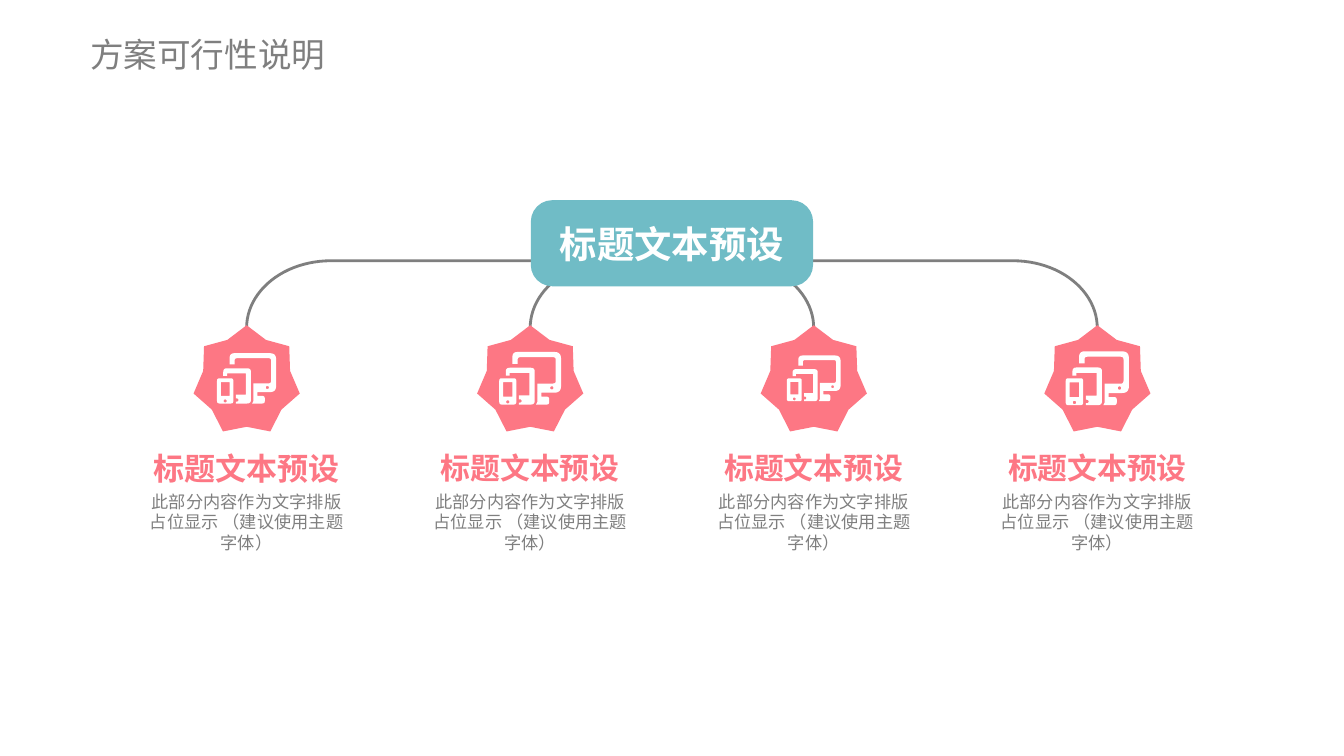
from dataclasses import dataclass

from lxml import etree
from pptx import Presentation
from pptx.dml.color import RGBColor
from pptx.enum import shapes, text
from pptx.oxml import ns
from pptx.util import Inches, Pt


@dataclass(frozen=True)
class Theme:
    font: str = "Noto Sans CJK SC"
    grey: str = "7F7F7F"
    pink: str = "FD7784"
    teal: str = "70BCC6"
    white: str = "FFFFFF"
    title_size: float = 18
    root_size: float = 20
    body_size: float = 9.2
    line_width: float = 1.5


@dataclass(frozen=True)
class Branch:
    icon_width: float
    heading_size: float = 16


THEME = Theme()
HEADING = "标题文本预设"
BODY = "此部分内容作为文字排版占位显示 （建议使用主题字体）"
BRANCHES = [Branch(0.44, 16.6), Branch(0.46), Branch(0.40), Branch(0.47)]
SLIDE_WIDTH = 10
SLIDE_HEIGHT = SLIDE_WIDTH * 9 / 16
MIDDLE = SLIDE_WIDTH / 2
STEP = 2.11
STAR_SIZE = 0.79
STAR_TOP = 2.42
TEXT_WIDTH = 1.51

# Icon outlines on a 47 x 40 grid; each corner is (x, y, radius).
ICON_GRID = (47, 40)
FINENESS = 100


def box_outline(left, top, right, bottom, radius=0):
    return [(left, top, radius), (right, top, radius),
            (right, bottom, radius), (left, bottom, radius)]


PHONE = box_outline(0, 20, 13, 40, 2)
PHONE_SCREEN = box_outline(3, 23, 10, 34)
PHONE_BUTTON = box_outline(5.3, 36.8, 7.7, 39.2, 1.2)
TABLET = [(5, 12, 3), (27, 12, 3), (27, 40, 3), (15, 40, 0), (15, 38.5, 0),
          (17, 38.5, 1.2), (17, 36, 1.2), (15, 36, 0), (15, 33, 0), (23, 33, 0),
          (23, 16, 0), (8, 16, 0), (8, 18, 0), (5, 18, 0)]
MONITOR = [(10, 0, 4), (47, 0, 5), (47, 31, 5), (32, 31, 0), (32, 34, 0),
           (38, 34, 2), (38, 40, 2), (28, 40, 0), (29, 38, 0), (29, 24, 0),
           (43, 24, 2), (43, 4, 2), (14, 4, 2), (14, 9, 0), (10, 9, 0)]
MONITOR_BUTTON = box_outline(38.8, 26.1, 41.2, 28.5, 1.2)
DEVICES = [PHONE, PHONE_SCREEN, PHONE_BUTTON, TABLET, MONITOR, MONITOR_BUTTON]


def toward(start, end, distance):
    """Return the point at a distance from start on the way to end."""
    dx, dy = end[0] - start[0], end[1] - start[1]
    share = distance / (dx * dx + dy * dy) ** 0.5
    return start[0] + dx * share, start[1] + dy * share


def rounded(outline, steps: int = 6) -> list:
    """Replace rounded corners by short segments along a curve."""
    points = []
    for index, corner in enumerate(outline):
        x, y, radius = corner
        if not radius:
            points.append((x * FINENESS, y * FINENESS))
            continue
        entry = toward(corner, outline[index - 1], radius)
        leave = toward(corner, outline[(index + 1) % len(outline)], radius)
        for step in range(steps + 1):
            t = step / steps
            points.append(tuple(
                FINENESS * ((1 - t) ** 2 * a + 2 * t * (1 - t) * b + t * t * c)
                for a, b, c in zip(entry, (x, y), leave)))
    return points


def paint(shape, color: str) -> None:
    shape.shadow.inherit = False
    shape.fill.solid()
    shape.fill.fore_color.rgb = RGBColor.from_string(color)
    shape.line.fill.background()


def write(shape, content: str, *, size: float, color: str, bold: bool = False,
          centred: bool = True, wrap: bool = True, margins=(0, 0)) -> None:
    """Fill a shape with one paragraph; margins are (sides, top and bottom)."""
    frame = shape.text_frame
    frame.word_wrap = wrap
    frame.vertical_anchor = text.MSO_ANCHOR.MIDDLE
    frame.margin_left = frame.margin_right = Inches(margins[0])
    frame.margin_top = frame.margin_bottom = Inches(margins[1])
    paragraph = frame.paragraphs[0]
    paragraph.alignment = text.PP_ALIGN.CENTER if centred else text.PP_ALIGN.LEFT
    run = paragraph.add_run()
    run.text = content
    run.font.size = Pt(size)
    run.font.bold = bold
    run.font.color.rgb = RGBColor.from_string(color)
    run.font.name = THEME.font
    east_asian = etree.SubElement(run.font._element, ns.qn("a:ea"))
    east_asian.set("typeface", THEME.font)


def add_text(container, left, top, width, height, content: str, **style) -> None:
    box = container.add_textbox(Inches(left), Inches(top), Inches(width), Inches(height))
    write(box, content, **style)


def add_bracket(container, span: float) -> None:
    """Draw a bracket that opens downwards and covers the given span."""
    depth, center_y = 0.5, 2.19
    bracket = container.add_shape(
        shapes.MSO_SHAPE.RIGHT_BRACKET, Inches(MIDDLE - depth / 2),
        Inches(center_y - span / 2), Inches(depth), Inches(span))
    bracket.rotation = 270
    bracket.adjustments[0] = 1.252
    bracket.shadow.inherit = False
    bracket.fill.background()
    bracket.line.color.rgb = RGBColor.from_string(THEME.grey)
    bracket.line.width = Pt(THEME.line_width)


def add_devices_icon(container, center_x: float, center_y: float, width: float) -> None:
    height = width * ICON_GRID[1] / ICON_GRID[0]
    scale = Inches(width) / (ICON_GRID[0] * FINENESS)
    first, *others = [rounded(outline) for outline in DEVICES]
    builder = container.build_freeform(*first[0], scale=scale)
    builder.add_line_segments(first[1:], close=True)
    for points in others:
        builder.move_to(*points[0])
        builder.add_line_segments(points[1:], close=True)
    icon = builder.convert_to_shape(Inches(center_x - width / 2),
                                    Inches(center_y - height / 2))
    paint(icon, THEME.white)


def add_branch(container, center_x: float, branch: Branch) -> None:
    star = container.add_shape(
        shapes.MSO_SHAPE.STAR_7_POINT, Inches(center_x - STAR_SIZE / 2),
        Inches(STAR_TOP), Inches(STAR_SIZE), Inches(STAR_SIZE))
    star.adjustments[0] = 0.409
    paint(star, THEME.pink)
    add_devices_icon(container, center_x, STAR_TOP + STAR_SIZE / 2, branch.icon_width)
    left = center_x - TEXT_WIDTH / 2
    add_text(container, left, 3.65, TEXT_WIDTH, 0.47, BODY,
             size=THEME.body_size, color=THEME.grey)
    add_text(container, left, 3.36, TEXT_WIDTH, 0.24, HEADING,
             size=branch.heading_size, color=THEME.pink, bold=True, wrap=False)


def main() -> None:
    presentation = Presentation()
    presentation.slide_width = Inches(SLIDE_WIDTH)
    presentation.slide_height = Inches(SLIDE_HEIGHT)
    slide = presentation.slides.add_slide(presentation.slide_layouts[6])

    brackets = slide.shapes.add_group_shape().shapes
    for gaps in (3, 1):
        add_bracket(brackets, gaps * STEP)

    for index, branch in enumerate(BRANCHES):
        center_x = MIDDLE + (index - (len(BRANCHES) - 1) / 2) * STEP
        add_branch(slide.shapes.add_group_shape().shapes, center_x, branch)

    root = slide.shapes.add_shape(shapes.MSO_SHAPE.ROUNDED_RECTANGLE, Inches(3.95),
                                  Inches(1.49), Inches(2.1), Inches(0.64))
    root.adjustments[0] = 0.249
    paint(root, THEME.teal)
    write(root, HEADING, size=THEME.root_size, color=THEME.white, bold=True,
          wrap=False, margins=(0.1, 0.05))

    add_text(slide.shapes, 0.67, 0.19, 2.33, 0.42, "方案可行性说明",
             size=THEME.title_size, color=THEME.grey, centred=False, margins=(0, 0.05))
    presentation.save("out.pptx")


if __name__ == "__main__":
    main()
